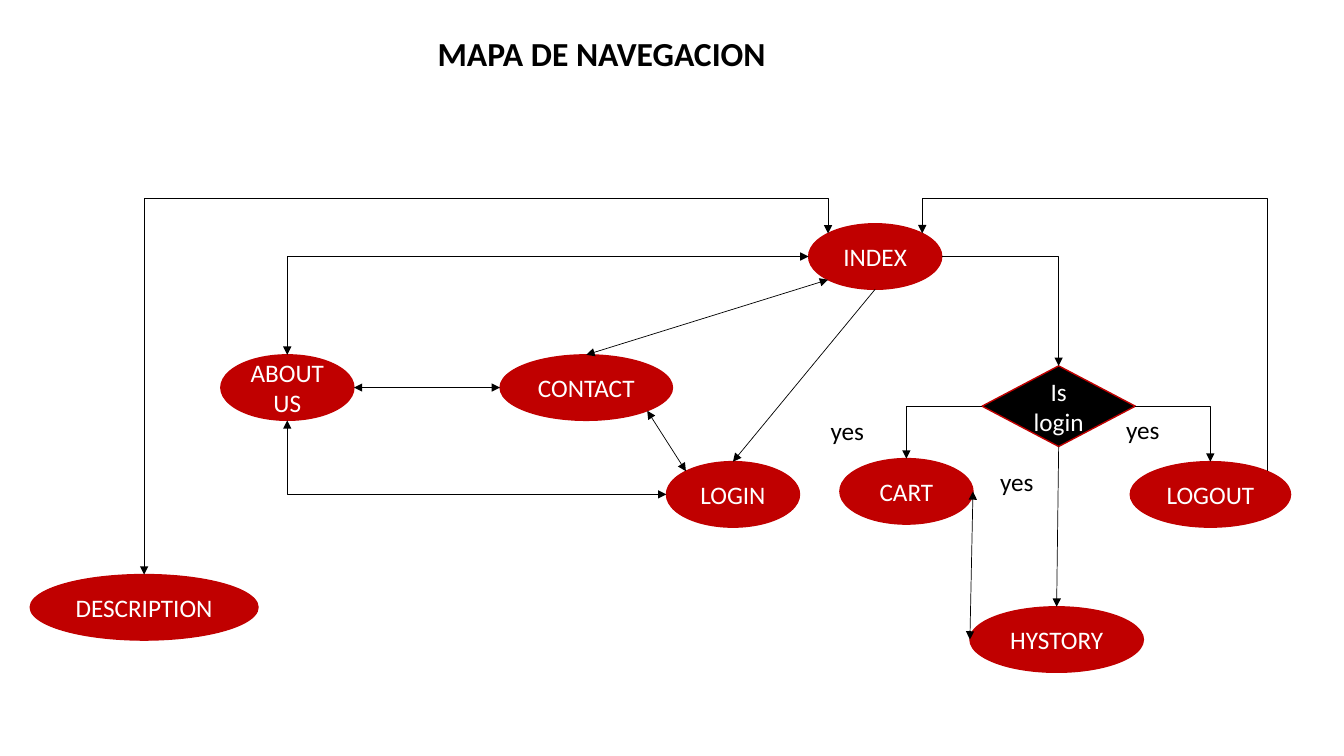
from math import sqrt

from pptx import Presentation
from pptx.dml.color import RGBColor
from pptx.enum.shapes import MSO_CONNECTOR as CONN, MSO_SHAPE as SHAPE
from pptx.enum.text import MSO_ANCHOR as ANCHOR, MSO_AUTO_SIZE as AUTO, PP_ALIGN as ALIGN
from pptx.oxml.ns import qn
from pptx.util import Inches, Pt
from lxml.etree import SubElement

COLORS = {"page": "C00000", "decision": "000000", "ink": "000000", "light": "FFFFFF"}
FONT = "Calibri"
PAGE_H = 0.65
BRIDGE_Y = 1.97

# name: (left, top, width, height)
PAGES = {
    "INDEX": (8.02, 2.22, 1.32, PAGE_H),
    "ABOUT US": (2.19, 3.52, 1.32, PAGE_H),
    "CONTACT": (4.96, 3.52, 1.71, PAGE_H),
    "LOGIN": (6.61, 4.58, 1.32, PAGE_H),
    "CART": (8.33, 4.55, 1.32, PAGE_H),
    "LOGOUT": (11.21, 4.58, 1.59, PAGE_H),
    "HYSTORY": (9.62, 6.02, 1.72, PAGE_H),
    "DESCRIPTION": (0.3, 5.7, 2.26, PAGE_H),
}
DECISIONS = {"Is login": (9.74, 3.63, 1.52, 0.8)}
NODES = {**PAGES, **DECISIONS}

# from, side, to, side, route, arrow at both ends
LINKS = [
    ("INDEX", "w", "ABOUT US", "n", "corner", True),
    ("INDEX", "sw", "CONTACT", "n", "straight", True),
    ("CONTACT", "w", "ABOUT US", "e", "straight", True),
    ("INDEX", "s", "LOGIN", "n", "straight", False),
    ("INDEX", "e", "Is login", "n", "corner", False),
    ("Is login", "w", "CART", "n", "corner", False),
    ("Is login", "e", "LOGOUT", "n", "corner", False),
    ("Is login", "s", "HYSTORY", "n", "straight", False),
    ("LOGIN", "nw", "CONTACT", "se", "straight", True),
    ("LOGIN", "w", "ABOUT US", "s", "corner", True),
    ("LOGOUT", "ne", "INDEX", "ne", "bridge", False),
    ("HYSTORY", "w", "CART", "e", "straight", True),
    ("INDEX", "nw", "DESCRIPTION", "n", "bridge", True),
]
LABELS = [("yes", 8.14, 4.07), ("yes", 11.07, 4.06), ("yes", 9.82, 4.58)]


def rgb(name):
    return RGBColor.from_string(COLORS[name])


def write(tf, text, size, color, align, bold=False):
    tf.text = text
    p = tf.paragraphs[0]
    p.alignment = align
    font = p.runs[0].font
    font.name, font.size, font.bold = FONT, Pt(size), bold
    font.color.rgb = rgb(color)


def site(name, side):
    """Point on the outline of a node in a compass direction."""
    x, y, w, h = NODES[name]
    dx = ("e" in side) - ("w" in side)
    dy = ("s" in side) - ("n" in side)
    scale = 1 / sqrt(dx * dx + dy * dy)
    return x + w / 2 * (1 + dx * scale), y + h / 2 * (1 + dy * scale)


def add_title(slide, text, box):
    sp = slide.shapes.title
    sp.left, sp.top, sp.width, sp.height = map(Inches, box)
    tf = sp.text_frame
    tf.auto_size = AUTO.NONE
    tf.vertical_anchor = ANCHOR.TOP
    write(tf, text, 24, "ink", ALIGN.LEFT, bold=True)


def add_node(slide, text, box, kind, fill):
    sp = slide.shapes.add_shape(kind, *map(Inches, box))
    sp.shadow.inherit = False
    sp.fill.solid()
    sp.fill.fore_color.rgb = rgb(fill)
    sp.line.color.rgb = rgb("page")
    sp.line.width = Pt(1)
    sp.text_frame.vertical_anchor = ANCHOR.MIDDLE
    write(sp.text_frame, text, 18, "light", ALIGN.CENTER)


def add_label(slide, text, left, top):
    sp = slide.shapes.add_textbox(*map(Inches, (left, top, 0.54, 0.4)))
    sp.text_frame.word_wrap = False
    write(sp.text_frame, text, 18, "ink", ALIGN.LEFT)


def add_link(slide, start, end, route, both):
    """Corner runs across then down or up; bridge passes over at BRIDGE_Y."""
    (x1, y1), (x2, y2) = start, end
    ends = (x1, y1, x2, y2)
    if route == "bridge":  # lay the box out sideways, to be turned by 270 degrees
        mx, my, dx, dy = (x1 + x2) / 2, (y1 + y2) / 2, x2 - x1, y2 - y1
        ends = (mx + dy / 2, my - dx / 2, mx - dy / 2, my + dx / 2)
    kind = CONN.STRAIGHT if route == "straight" else CONN.ELBOW
    link = slide.shapes.add_connector(kind, *map(Inches, ends))
    link.line.color.rgb = rgb("ink")
    link.line.width = Pt(0.5)

    sp_pr = link._element.spPr
    geom = sp_pr.find(qn("a:prstGeom"))
    if route == "corner":
        geom.set("prst", "bentConnector2")
    elif route == "bridge":
        sp_pr.find(qn("a:xfrm")).set("rot", str(270 * 60000))
        bend = round((BRIDGE_Y - y1) / (y2 - y1) * 100000)
        SubElement(geom.find(qn("a:avLst")), qn("a:gd"), name="adj1", fmla=f"val {bend}")
    ln = sp_pr.find(qn("a:ln"))
    for tag in ("a:headEnd", "a:tailEnd") if both else ("a:tailEnd",):
        SubElement(ln, qn(tag), type="triangle")
    SubElement(sp_pr, qn("a:effectLst"))


def add_navigation_map(slide):
    for name, box in PAGES.items():
        add_node(slide, name, box, SHAPE.OVAL, "page")
    for name, box in DECISIONS.items():
        add_node(slide, name, box, SHAPE.DIAMOND, "decision")
    for source, out_side, target, in_side, route, both in LINKS:
        add_link(slide, site(source, out_side), site(target, in_side), route, both)
    for label in LABELS:
        add_label(slide, *label)


def main():
    prs = Presentation()
    prs.slide_width, prs.slide_height = Inches(13.33), Inches(7.5)
    slide = prs.slides.add_slide(prs.slide_layouts[5])
    add_title(slide, "MAPA DE NAVEGACION", (4.24, 0.28, 4.54, 0.5))
    add_navigation_map(slide)
    prs.save("out.pptx")


if __name__ == "__main__":
    main()
